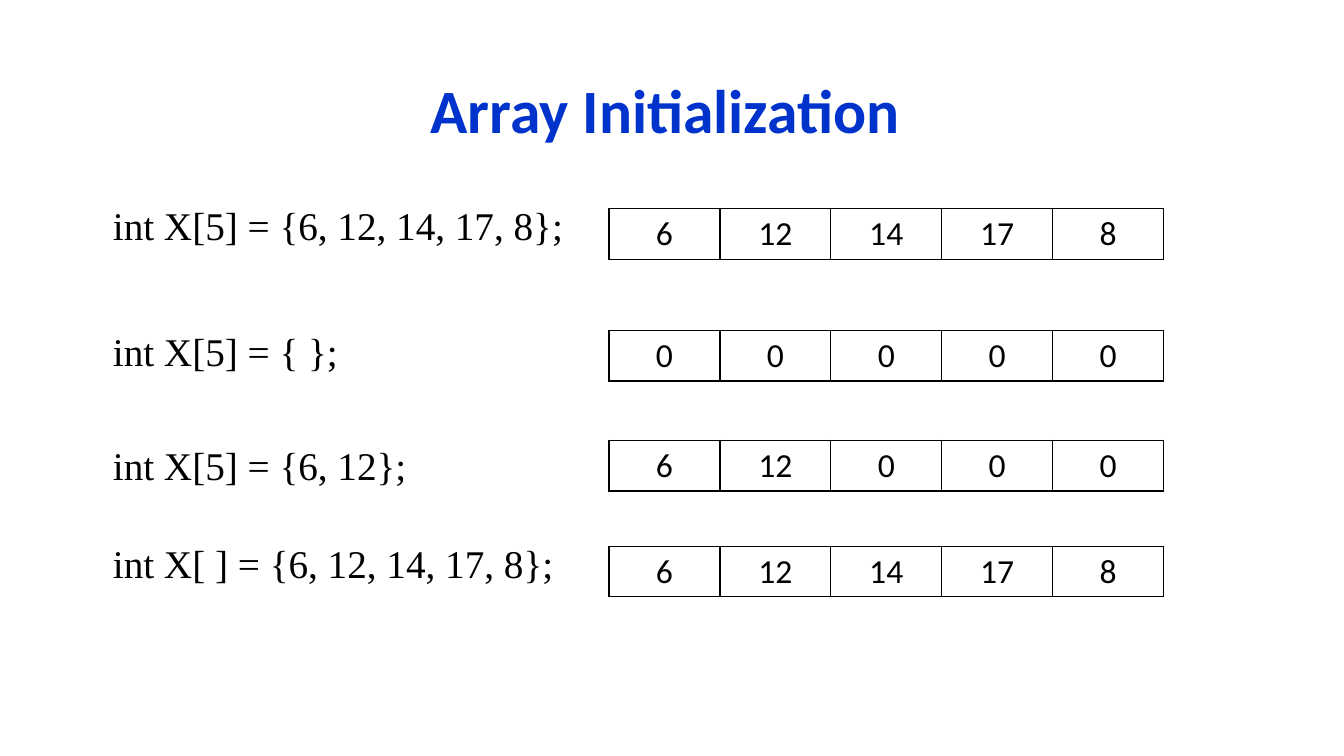
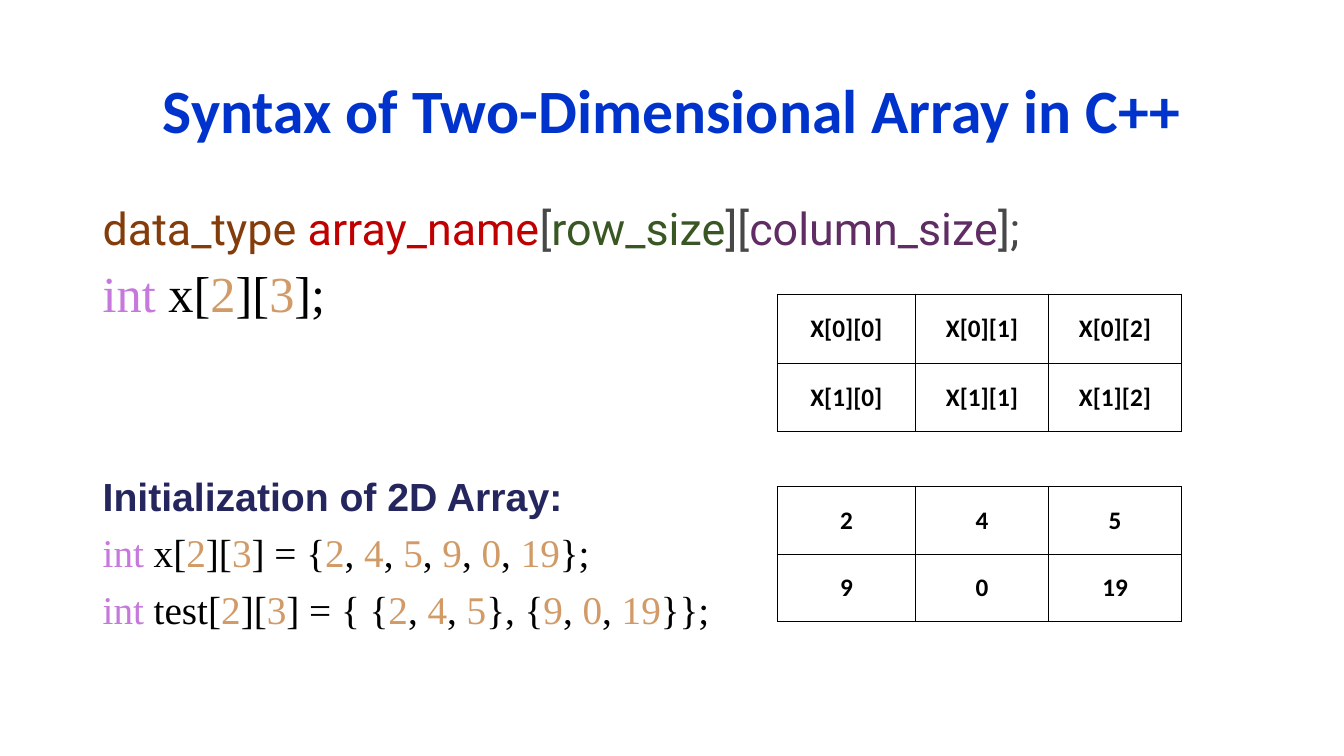
from dataclasses import dataclass
from itertools import groupby

import pptx
import pptx.dml.color
import pptx.enum.text
import pptx.oxml
import pptx.oxml.ns
import pptx.util

Inches = pptx.util.Inches
Pt = pptx.util.Pt
RGBColor = pptx.dml.color.RGBColor
ALIGN = pptx.enum.text.PP_ALIGN
ANCHOR = pptx.enum.text.MSO_ANCHOR

# Shared colours
BLACK = RGBColor(0x00, 0x00, 0x00)
TITLE_BLUE = RGBColor(0x00, 0x33, 0xCC)
HEADING_NAVY = RGBColor(0x25, 0x26, 0x5E)
KEYWORD_VIOLET = RGBColor(0xC6, 0x78, 0xDD)
NUMBER_ORANGE = RGBColor(0xD1, 0x9A, 0x66)
TYPE_BROWN = RGBColor(0x84, 0x3C, 0x0B)
NAME_RED = RGBColor(0xC0, 0x00, 0x00)
BRACKET_GREY = RGBColor(0x48, 0x48, 0x48)
ROW_GREEN = RGBColor(0x38, 0x57, 0x23)
COLUMN_PURPLE = RGBColor(0x60, 0x2C, 0x64)

# Shared fonts and frame
TITLE_FONT = CELL_FONT = "Calibri"
CODE_FONT = "Times New Roman"
FRAME_LEFT, FRAME_WIDTH = 0.92, 11.5
LINE_SPACING = 0.9


@dataclass
class Line:
    pieces: list[tuple[str, RGBColor]]
    size: float = 28
    font: str = CODE_FONT
    bold: bool = False
    before: float = 10


@dataclass
class Grid:
    left: float
    top: float
    columns: list[float]
    rows: list[float]
    values: list[list[str]]
    size: float
    bold: bool = False


def declaration(code: str, size: float = 28) -> Line:
    """Colour the int keyword and every number of a declaration."""
    keyword = "int"
    pieces = [(keyword, KEYWORD_VIOLET)]
    for is_number, letters in groupby(code.removeprefix(keyword), str.isdigit):
        pieces.append(("".join(letters), NUMBER_ORANGE if is_number else BLACK))
    return Line(pieces, size)


def add_text(slide, top: float, height: float, lines: list[Line], inset: float = 0.1,
             anchor=ANCHOR.TOP, align=ALIGN.LEFT) -> None:
    box = slide.shapes.add_textbox(Inches(FRAME_LEFT), Inches(top),
                                   Inches(FRAME_WIDTH), Inches(height))
    frame = box.text_frame
    frame.word_wrap = True
    frame.margin_left = Inches(inset)
    frame.vertical_anchor = anchor
    for index, line in enumerate(lines):
        paragraph = frame.add_paragraph() if index else frame.paragraphs[0]
        paragraph.alignment = align
        paragraph.line_spacing = LINE_SPACING
        paragraph.space_before = Pt(line.before)
        paragraph.font.size = Pt(line.size)
        paragraph.font.name = line.font
        paragraph.font.bold = line.bold
        for text, color in line.pieces:
            run = paragraph.add_run()
            run.text = text
            run.font.color.rgb = color


def add_title(slide, text: str) -> None:
    title = Line([(text, TITLE_BLUE)], 44, TITLE_FONT, bold=True, before=0)
    add_text(slide, 0.4, 1.45, [title], anchor=ANCHOR.MIDDLE, align=ALIGN.CENTER)


def add_body(slide, lines: list[Line], inset: float = 0.1) -> None:
    add_text(slide, 2, 4.76, lines, inset)


def add_borders(cell) -> None:
    properties = cell._tc.get_or_add_tcPr()
    for side in ("lnL", "lnR", "lnT", "lnB"):
        properties.append(pptx.oxml.parse_xml(
            f'<a:{side} {pptx.oxml.ns.nsdecls("a")} w="{Pt(1)}"><a:solidFill>'
            f'<a:srgbClr val="{BLACK}"/></a:solidFill></a:{side}>'))


def add_grid(slide, grid: Grid) -> None:
    table = slide.shapes.add_table(
        len(grid.rows), len(grid.columns), Inches(grid.left), Inches(grid.top),
        Inches(sum(grid.columns)), Inches(sum(grid.rows))).table
    table.first_row = table.horz_banding = False
    for column, width in zip(table.columns, grid.columns):
        column.width = Inches(width)
    for row, height, values in zip(table.rows, grid.rows, grid.values):
        row.height = Inches(height)
        for cell, value in zip(row.cells, values):
            add_borders(cell)
            cell.fill.background()
            cell.vertical_anchor = ANCHOR.MIDDLE
            cell.text = value
            paragraph = cell.text_frame.paragraphs[0]
            paragraph.alignment = ALIGN.CENTER
            paragraph.font.size = Pt(grid.size)
            paragraph.font.name = CELL_FONT
            paragraph.font.bold = grid.bold
            paragraph.font.color.rgb = BLACK


def build_array_initialization(slide) -> None:
    add_title(slide, "Array Initialization ")
    # Code, gap above it, top of its array, array contents
    examples = [
        ("int X[5] = {6, 12, 14, 17, 8};", 10, 2.07, "6 12 14 17 8"),
        ("int X[5] = { };", 59.5, 3.28, "0 0 0 0 0"),
        ("int X[5] = {6, 12};", 51.5, 4.37, "6 12 0 0 0"),
        ("int X[ ] = {6, 12, 14, 17, 8};", 40, 5.42, "6 12 14 17 8"),
    ]
    add_body(slide, [Line([(code, BLACK)], before=gap) for code, gap, _, _ in examples],
             inset=0.2)
    for _, _, top, contents in examples:
        add_grid(slide, Grid(6.04, top, [1.1] * 5, [0.5], [contents.split()], size=24))


def build_two_dimensional_syntax(slide) -> None:
    add_title(slide, "Syntax of Two-Dimensional Array in C++")
    # Syntax, declaration and initialization
    syntax = [("data_type ", TYPE_BROWN), ("array_name", NAME_RED), ("[", BRACKET_GREY),
              ("row_size", ROW_GREEN), ("][", BRACKET_GREY),
              ("column_size", COLUMN_PURPLE), ("];", BRACKET_GREY)]
    add_body(slide, [
        Line(syntax, 32, "Roboto"),
        declaration("int x[2][3];", 36),
        Line([("Initialization of 2D Array:", HEADING_NAVY)], font="Arial", bold=True,
             before=110),
        declaration("int x[2][3] = {2, 4, 5, 9, 0, 19};"),
        declaration("int test[2][3] = { {2, 4, 5}, {9, 0, 19}};"),
    ])
    # Element names above, their values below
    names = [[f"X[{row}][{column}]" for column in range(3)] for row in range(2)]
    values = [["2", "4", "5"], ["9", "0", "19"]]
    for top, rows, contents in ((2.92, [0.69, 0.67], names), (4.83, [0.67, 0.67], values)):
        add_grid(slide, Grid(7.71, top, [1.37, 1.32, 1.32], rows, contents,
                             size=18, bold=True))


def main() -> None:
    deck = pptx.Presentation()
    deck.slide_width, deck.slide_height = Inches(13.33), Inches(7.5)
    blank = deck.slide_layouts[6]
    for build in (build_array_initialization, build_two_dimensional_syntax):
        build(deck.slides.add_slide(blank))
    deck.save("out.pptx")


if __name__ == "__main__":
    main()
